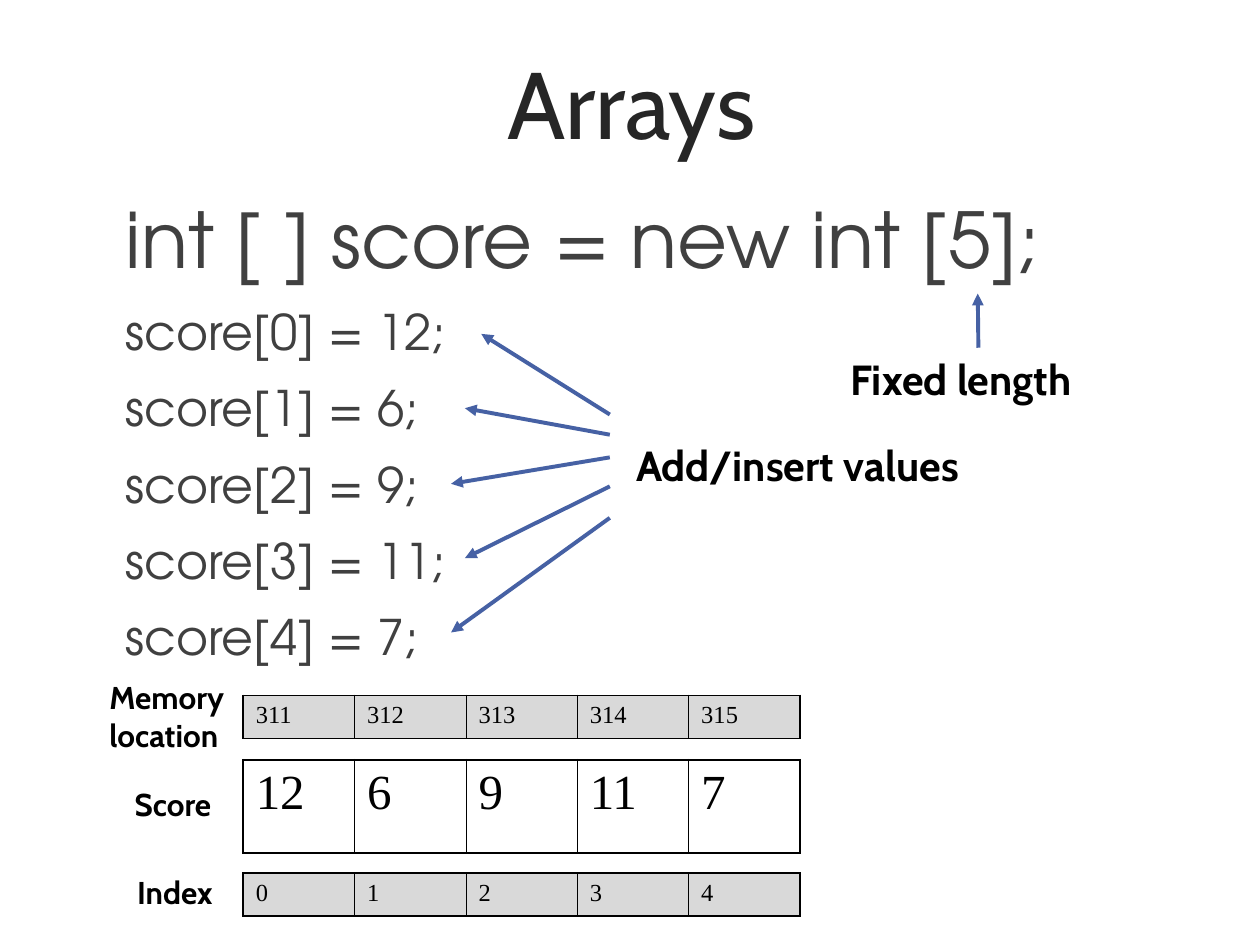
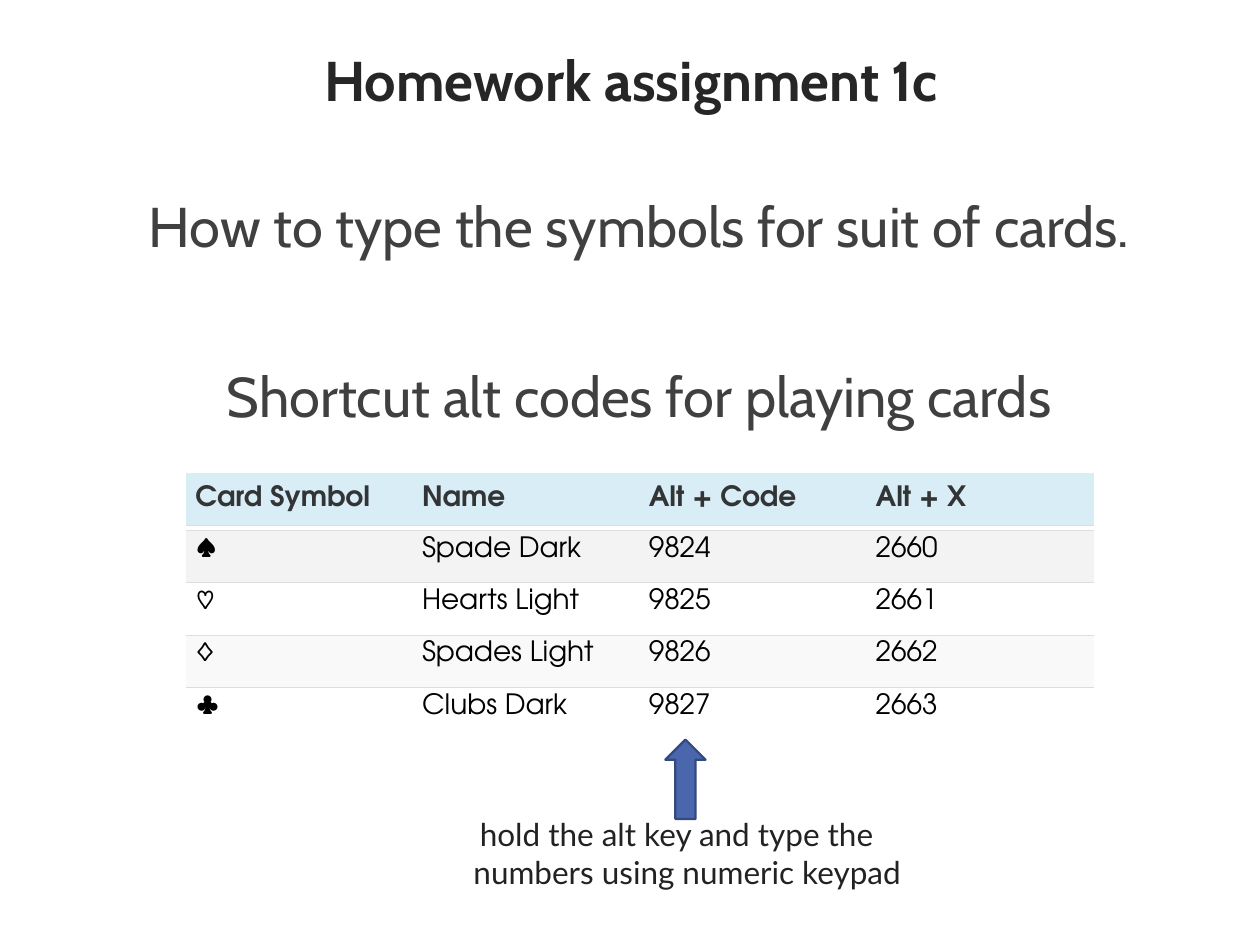
from dataclasses import dataclass
from typing import Optional

from lxml.etree import SubElement
from pptx import Presentation
from pptx.dml.color import RGBColor
from pptx.enum.shapes import MSO_CONNECTOR, MSO_SHAPE
from pptx.enum.text import MSO_ANCHOR, PP_ALIGN
from pptx.oxml.ns import qn
from pptx.shapes.base import BaseShape
from pptx.slide import Slide
from pptx.table import _Cell
from pptx.text.text import _Paragraph
from pptx.util import Inches, Pt


@dataclass(frozen=True)
class Theme:
    """Colours, fonts and type sizes of the deck."""
    heading: str = "262626"
    body: str = "404040"
    black: str = "000000"
    white: str = "FFFFFF"
    note: str = "222222"
    arrow: str = "4661A4"
    block_arrow: str = "4A66AC"
    block_arrow_edge: str = "34497D"
    strip_grey: str = "D9D9D9"
    header_text: str = "323436"
    header_blue: str = "D9EDF7"
    row_dark: str = "F3F3F3"
    row_light: str = "F9F9F9"
    rule: str = "DDDDDD"
    sans: str = "Cabin"
    geometric: str = "TeX Gyre Adventor"
    serif: str = "Times New Roman"
    humanist: str = "Lato"
    hero: int = 54
    declaration: int = 44
    large: int = 32
    medium: int = 28
    callout: int = 24
    label: int = 18
    table: int = 16
    strip: int = 14


THEME = Theme()


@dataclass(frozen=True)
class Style:
    """Look of a run of text."""
    size: int
    font: str
    color: str
    bold: bool = False


@dataclass(frozen=True)
class Line:
    """One paragraph with its space before, in points."""
    text: str
    style: Style
    before: int = 0


@dataclass(frozen=True)
class Box:
    """Position and size in inches."""
    left: float
    top: float
    width: float
    height: float


@dataclass(frozen=True)
class Label:
    """A short bold caption."""
    text: str
    box: Box
    size: int = THEME.label


@dataclass(frozen=True)
class Arrow:
    """A straight arrow from a tail point to a head point, in inches."""
    x1: float
    y1: float
    x2: float
    y2: float


@dataclass(frozen=True)
class Edges:
    """Widths of the cell borders in points; zero means no border."""
    left: float = 0
    right: float = 0
    top: float = 0
    bottom: float = 0


@dataclass(frozen=True)
class Strip:
    """A one-row table showing one property of every array element."""
    values: list[str]
    top: float
    height: float
    size: int
    fill: Optional[str]


STRIP_LEFT, STRIP_COLUMN = 1.93, 0.884
OUTER, INNER, HAIRLINE = 1.08, 0.45, 0.34
CARD_LEFT, CARD_COLUMN, CARD_ROW, CARD_MARGIN = 1.48, 1.8, 0.415, 0.07

SCORES = [12, 6, 9, 11, 7]
STRIPS = [
    Strip([str(311 + i) for i in range(len(SCORES))], 5.52, 0.34, THEME.strip, THEME.strip_grey),
    Strip([str(score) for score in SCORES], 6.03, 0.74, THEME.medium, None),
    Strip([str(i) for i in range(len(SCORES))], 6.93, 0.34, THEME.strip, THEME.strip_grey),
]
LABELS = [
    Label("Memory location", Box(0.77, 5.33, 1.3, 0.7)),
    Label("Score", Box(0.97, 6.18, 1.1, 0.4)),
    Label("Index", Box(0.99, 6.88, 0.87, 0.7)),
    Label("Add/insert values", Box(4.95, 3.44, 3.07, 0.9), THEME.callout),
]
FIXED_LENGTH = Label("Fixed length", Box(6.65, 2.76, 2.23, 0.9), THEME.callout)
FIXED_LENGTH_ARROW = Arrow(7.77, 2.76, 7.76, 2.33)
VALUE_ARROWS = [
    Arrow(4.84, 3.29, 3.82, 2.65),
    Arrow(4.84, 3.45, 3.69, 3.24),
    Arrow(4.84, 3.63, 3.58, 3.84),
    Arrow(4.84, 3.86, 3.69, 4.43),
    Arrow(4.84, 4.11, 3.58, 5.02),
]
CARD_HEADER = ["Card Symbol", "Name", "Alt + Code", "Alt + X"]
CARDS = [
    ["♠", "Spade Dark", "9824", "2660"],
    ["♡", "Hearts Light", "9825", "2661"],
    ["♢", "Spades Light", "9826", "2662"],
    ["♣", "Clubs Dark", "9827", "2663"],
]
CARD_FILLS = [THEME.row_dark, THEME.white, THEME.row_light, THEME.white]


def place(box: Box) -> list[int]:
    """Turn a box into lengths."""
    return [Inches(n) for n in (box.left, box.top, box.width, box.height)]


def add_run(paragraph: _Paragraph, text: str, style: Style) -> None:
    """Add one styled run to a paragraph."""
    run = paragraph.add_run()
    run.text = text
    run.font.size = Pt(style.size)
    run.font.name = style.font
    run.font.bold = style.bold
    run.font.color.rgb = RGBColor.from_string(style.color)


def add_text(slide: Slide, box: Box, lines: list[Line], align: PP_ALIGN = PP_ALIGN.LEFT,
             inset_top: float = 0.05, indent: float = 0) -> BaseShape:
    """Add a wrapping text box with one paragraph per line."""
    text_box = slide.shapes.add_textbox(*place(box))
    frame = text_box.text_frame
    frame.word_wrap = True
    frame.margin_top = Inches(inset_top)
    for i, line in enumerate(lines):
        paragraph = frame.add_paragraph() if i else frame.paragraphs[0]
        if indent:
            paragraph._p.get_or_add_pPr().set("indent", str(Inches(indent)))
        paragraph.alignment = align
        paragraph.space_before = Pt(line.before)
        add_run(paragraph, line.text, line.style)
    return text_box


def add_title(slide: Slide, text: str, size: int, bold: bool = False) -> None:
    """Add the centred slide title."""
    style = Style(size, THEME.sans, THEME.heading, bold)
    add_text(slide, Box(0.51, 0.28, 9, 0.95), [Line(text, style)], PP_ALIGN.CENTER, 0.08)


def add_label(slide: Slide, label: Label) -> BaseShape:
    """Add a bold black caption."""
    style = Style(label.size, THEME.sans, THEME.black, True)
    return add_text(slide, label.box, [Line(label.text, style)])


def add_arrow(slide: Slide, arrow: Arrow, source: Optional[BaseShape] = None) -> None:
    """Add an arrow, joined to the top of its source if there is one."""
    ends = [Inches(n) for n in (arrow.x1, arrow.y1, arrow.x2, arrow.y2)]
    connector = slide.shapes.add_connector(MSO_CONNECTOR.STRAIGHT, *ends)
    connector.line.color.rgb = RGBColor.from_string(THEME.arrow)
    connector.line.width = Pt(2.25)
    SubElement(connector.line._get_or_add_ln(), qn("a:tailEnd"), type="triangle")
    SubElement(connector._element.spPr, qn("a:effectLst"))
    if source is not None:
        connector.begin_connect(source, 0)


def set_borders(cell: _Cell, edges: Edges, color: str) -> None:
    """Draw the four borders of a cell."""
    properties = cell._tc.get_or_add_tcPr()
    sides = {"L": edges.left, "R": edges.right, "T": edges.top, "B": edges.bottom}
    for side, width in sides.items():
        line = SubElement(properties, qn(f"a:ln{side}"), w=str(Pt(width)))
        if width:
            SubElement(SubElement(line, qn("a:solidFill")), qn("a:srgbClr"), val=color)
        else:
            SubElement(line, qn("a:noFill"))


def add_grid(slide: Slide, box: Box, rows: list[list[str]], style: Style,
             fills: list[Optional[str]], edges: list[list[Edges]], rule: str,
             margin: float = 0.1, anchor: MSO_ANCHOR = MSO_ANCHOR.TOP) -> None:
    """Add a table of equal columns and rows, with one fill per row."""
    table = slide.shapes.add_table(len(rows), len(rows[0]), *place(box)).table
    table.first_row = table.horz_banding = False
    for r, row in enumerate(rows):
        for c, text in enumerate(row):
            cell = table.cell(r, c)
            cell.margin_left = cell.margin_right = Inches(margin)
            cell.vertical_anchor = anchor
            set_borders(cell, edges[r][c], rule)
            if fills[r]:
                cell.fill.solid()
                cell.fill.fore_color.rgb = RGBColor.from_string(fills[r])
            else:
                cell.fill.background()
            add_run(cell.text_frame.paragraphs[0], text, style)


def add_strip(slide: Slide, strip: Strip) -> None:
    """Add one boxed strip of array cells."""
    count = len(strip.values)
    edges = [Edges(INNER if c else OUTER, INNER if c < count - 1 else OUTER, OUTER, OUTER)
             for c in range(count)]
    box = Box(STRIP_LEFT, strip.top, STRIP_COLUMN * count, strip.height)
    style = Style(strip.size, THEME.serif, THEME.black)
    add_grid(slide, box, [strip.values], style, [strip.fill], [edges], THEME.black)


def add_card_table(slide: Slide) -> None:
    """Add the header and the rows of the card code table."""
    columns = len(CARD_HEADER)
    width = CARD_COLUMN * columns
    add_grid(slide, Box(CARD_LEFT, 4.21, width, CARD_ROW * len(CARDS)), CARDS,
             Style(THEME.table, THEME.geometric, THEME.black), CARD_FILLS,
             [[Edges(top=HAIRLINE, bottom=HAIRLINE if r < len(CARDS) - 1 else 0)] * columns
              for r in range(len(CARDS))], THEME.rule, CARD_MARGIN)
    add_grid(slide, Box(CARD_LEFT, 3.75, width, CARD_ROW), [CARD_HEADER],
             Style(THEME.table, THEME.geometric, THEME.header_text, True), [THEME.header_blue],
             [[Edges(bottom=HAIRLINE)] * columns], THEME.rule, CARD_MARGIN, MSO_ANCHOR.MIDDLE)


def build_arrays(slide: Slide) -> None:
    """Build the slide on declaring and filling an array."""
    add_title(slide, "Arrays", THEME.hero)
    declaration = Style(THEME.declaration, THEME.geometric, THEME.body)
    assignment = Style(THEME.medium, THEME.geometric, THEME.body)
    code = [Line(f"int [ ] score = new int [{len(SCORES)}];", declaration)]
    code += [Line(f"score[{i}] = {score};", assignment, 10) for i, score in enumerate(SCORES)]
    add_text(slide, Box(0.9, 1.47, 8.51, 4.02), code)
    for strip in STRIPS:
        add_strip(slide, strip)
    for label in LABELS:
        add_label(slide, label)
    for arrow in VALUE_ARROWS:
        add_arrow(slide, arrow)
    add_arrow(slide, FIXED_LENGTH_ARROW, add_label(slide, FIXED_LENGTH))


def build_homework(slide: Slide) -> None:
    """Build the slide on typing the card symbols."""
    add_title(slide, "Homework assignment 1c", THEME.large, True)
    prose = Style(THEME.large, THEME.sans, THEME.body)
    add_text(slide, Box(0.51, 1.47, 9.13, 5.51), [
        Line("How to type the symbols for suit of cards.", prose),
        Line("Shortcut alt codes for playing cards", prose, 59),
    ], PP_ALIGN.CENTER)
    add_card_table(slide)
    hint = Style(THEME.label, THEME.humanist, THEME.note)
    add_text(slide, Box(3.66, 6.42, 3.86, 1), [
        Line("hold the alt key and type the numbers using numeric keypad", hint),
    ], indent=0.05)
    pointer = slide.shapes.add_shape(MSO_SHAPE.UP_ARROW, *place(Box(5.28, 5.87, 0.32, 0.63)))
    pointer.shadow.inherit = False
    pointer.fill.solid()
    pointer.fill.fore_color.rgb = RGBColor.from_string(THEME.block_arrow)
    pointer.line.color.rgb = RGBColor.from_string(THEME.block_arrow_edge)
    pointer.line.width = Pt(1.25)


def main() -> None:
    """Build the deck and save it."""
    deck = Presentation()
    deck.slide_width, deck.slide_height = Inches(10), Inches(7.5)
    for build in (build_arrays, build_homework):
        build(deck.slides.add_slide(deck.slide_layouts[6]))
    deck.save("out.pptx")


if __name__ == "__main__":
    main()
